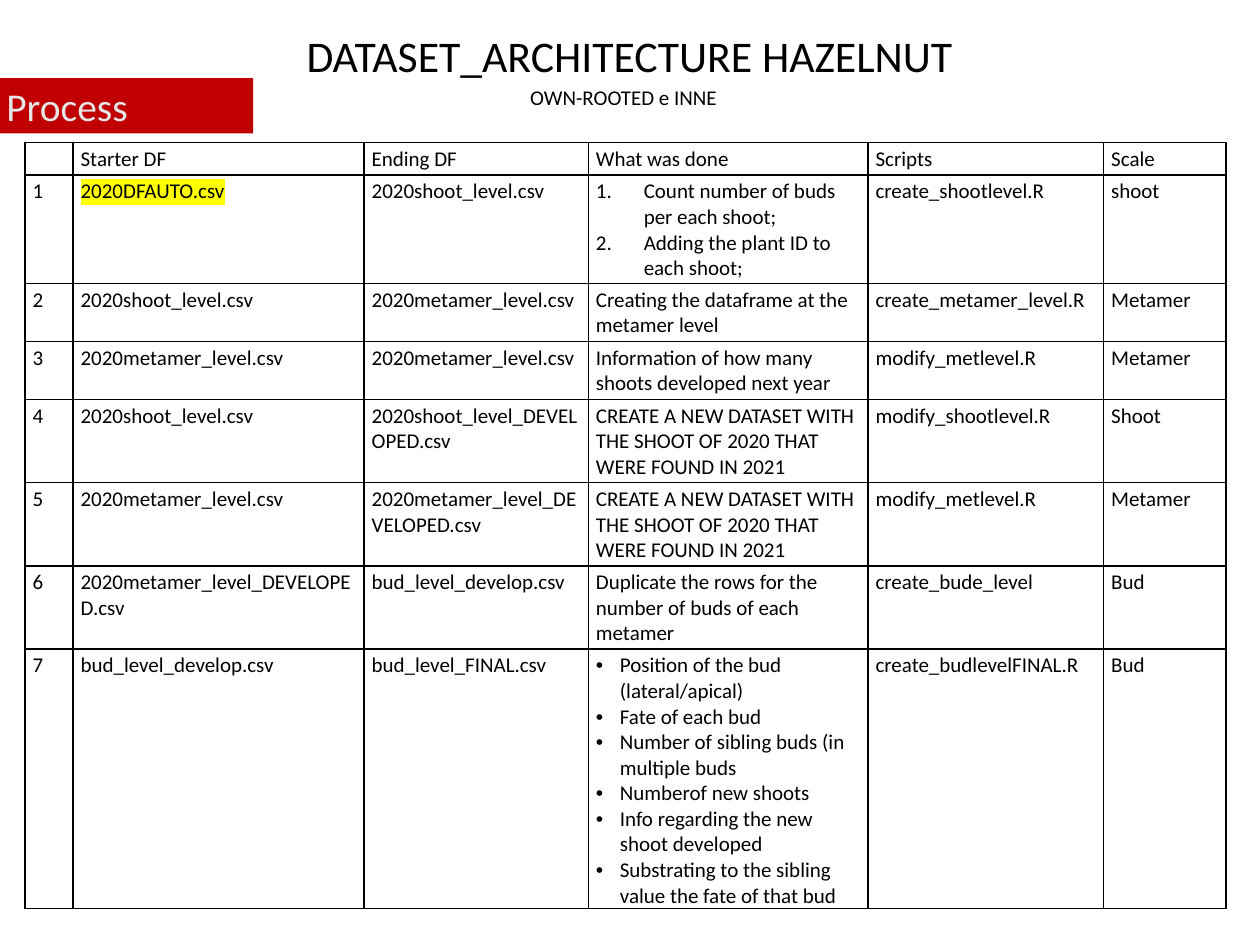
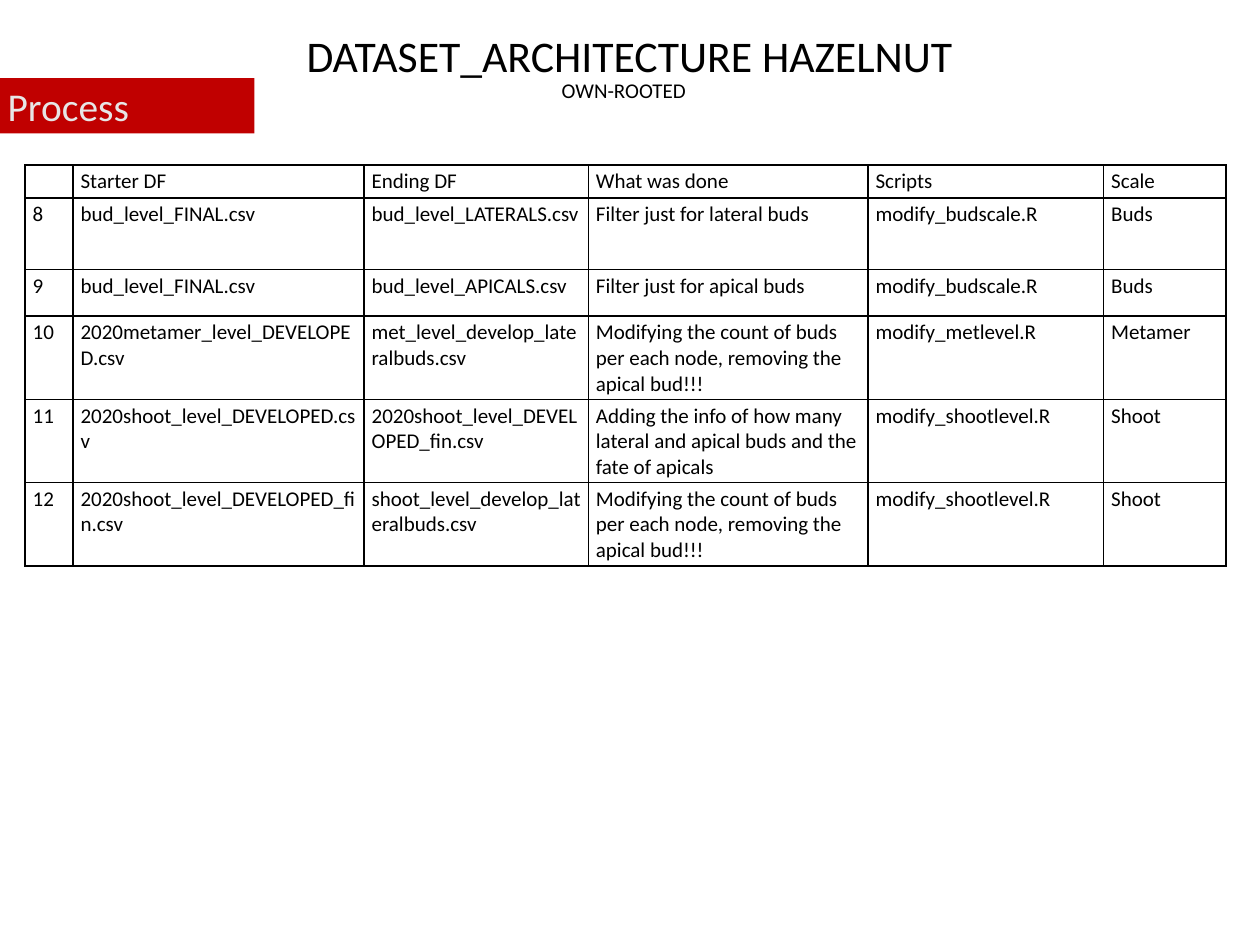
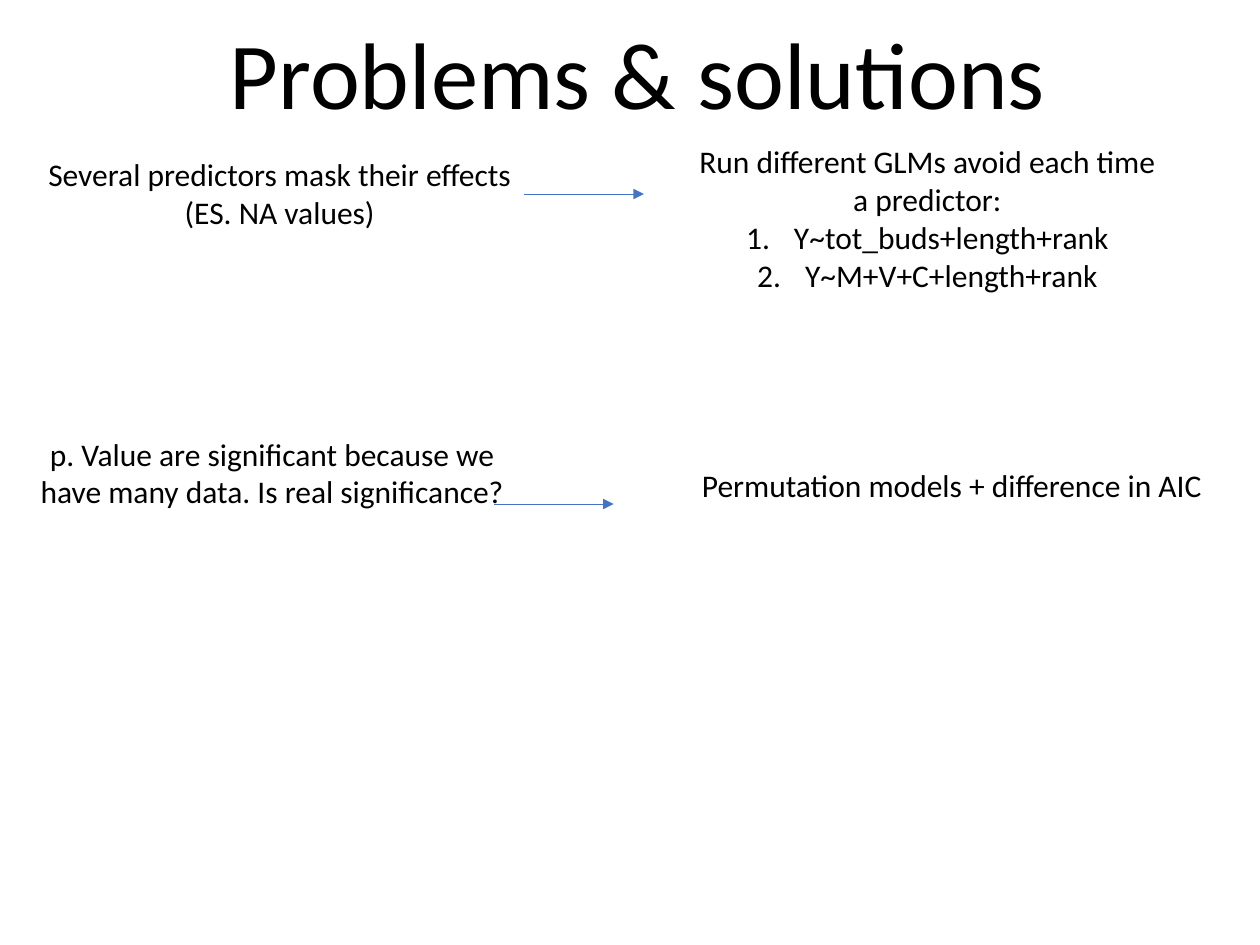
from dataclasses import dataclass
from typing import NamedTuple

from lxml.etree import SubElement
from pptx import Presentation
from pptx.dml.color import RGBColor
from pptx.enum.shapes import MSO_CONNECTOR as Connector, MSO_SHAPE as Shape
from pptx.enum.text import MSO_AUTO_SIZE as AutoSize, MSO_ANCHOR as Anchor, PP_ALIGN as Align
from pptx.oxml.ns import qn
from pptx.slide import Slide
from pptx.text.text import TextFrame
from pptx.util import Inches, Pt

BLACK = RGBColor(0x00, 0x00, 0x00)
RED = RGBColor(0xC0, 0x00, 0x00)
PALE_GREY = RGBColor(0xE7, 0xE6, 0xE6)
BLUE = RGBColor(0x44, 0x72, 0xC4)
YELLOW = RGBColor(0xFF, 0xFF, 0x00)

FONT = "Calibri"
TABLE_SIZE = 12
DEFAULT_INSETS = (0.1, 0.05)
TITLE_INSETS = (0.03, 0.02)
COMPACT_INSETS = (0.06, 0.03)
COLUMN_WIDTHS = (0.38, 2.31, 1.78, 2.22, 1.87, 0.97)
HEADER = ("", "Starter DF", "Ending DF", "What was done", "Scripts", "Scale")
HEADER_HEIGHT = 0.23
ROW_HEIGHT = 0.26
FIRST_ROW_HEIGHTS = (0.57, 0.37)


class Line(NamedTuple):
    """A paragraph with an optional list marker and highlight."""
    text: str
    marker: str = ""
    highlight: RGBColor | None = None


Content = str | tuple[Line, ...]


class Step(NamedTuple):
    """One processing step of the dataset."""
    starter: Content
    ending: Content
    done: Content
    script: Content
    scale: Content


@dataclass(frozen=True)
class ProcessPage:
    """A page that tabulates consecutive processing steps."""
    subtitle: str
    subtitle_left: float
    subtitle_top: float
    subtitle_width: float
    band_left: float
    table_top: float
    first_number: int
    steps: tuple[Step, ...]


@dataclass(frozen=True)
class Note:
    """A centred text on the problems page."""
    left: float
    top: float
    width: float
    height: float
    content: Content


@dataclass(frozen=True)
class Arrow:
    """A horizontal arrow from a problem to its solution."""
    left: float
    top: float
    length: float = 0.95


def listed(marker: str, *texts: str) -> tuple[Line, ...]:
    """Return the texts as list items with the same marker."""
    return tuple(Line(text, marker) for text in texts)


NEW_DATASET = "CREATE A NEW DATASET WITH THE SHOOT OF 2020 THAT WERE FOUND IN 2021"
COUNT_BUDS = "Modifying the count of buds per each node, removing the apical bud!!!"

PROCESS_PAGES = (
    ProcessPage("OWN-ROOTED e INNE", 4.11, 0.62, 1.7, -0.01, 1.13, 1, (
        Step((Line("2020DFAUTO.csv", highlight=YELLOW),), "2020shoot_level.csv",
             listed("1.", "Count number of buds per each shoot;",
                    "Adding the plant ID to each shoot;"),
             "create_shootlevel.R", "shoot"),
        Step("2020shoot_level.csv", "2020metamer_level.csv",
             "Creating the dataframe at the metamer level",
             "create_metamer_level.R", "Metamer"),
        Step("2020metamer_level.csv", "2020metamer_level.csv",
             "Information of how many shoots developed next year",
             "modify_metlevel.R", "Metamer"),
        Step("2020shoot_level.csv", "2020shoot_level_DEVELOPED.csv",
             NEW_DATASET, "modify_shootlevel.R", "Shoot"),
        Step("2020metamer_level.csv", "2020metamer_level_DEVELOPED.csv",
             NEW_DATASET, "modify_metlevel.R", "Metamer"),
        Step("2020metamer_level_DEVELOPED.csv", "bud_level_develop.csv",
             "Duplicate the rows for the number of buds of each metamer",
             "create_bude_level", "Bud"),
        Step("bud_level_develop.csv", "bud_level_FINAL.csv",
             listed("•", "Position of the bud (lateral/apical)",
                    "Fate of each bud",
                    "Number of sibling buds (in multiple buds",
                    "Numberof new shoots",
                    "Info regarding the new shoot developed",
                    "Substrating to the sibling value the fate of that bud"),
             "create_budlevelFINAL.R", "Bud"),
    )),
    ProcessPage("OWN-ROOTED", 4.36, 0.57, 1.2, 0, 1.31, 8, (
        Step("bud_level_FINAL.csv", "bud_level_LATERALS.csv",
             "Filter just for lateral buds", "modify_budscale.R", "Buds"),
        Step("bud_level_FINAL.csv", "bud_level_APICALS.csv",
             "Filter just for apical buds", "modify_budscale.R", "Buds"),
        Step("2020metamer_level_DEVELOPED.csv", "met_level_develop_lateralbuds.csv",
             COUNT_BUDS, "modify_metlevel.R", "Metamer"),
        Step("2020shoot_level_DEVELOPED.csv", "2020shoot_level_DEVELOPED_fin.csv",
             "Adding the info of how many lateral and apical buds and the fate of apicals",
             "modify_shootlevel.R", "Shoot"),
        Step("2020shoot_level_DEVELOPED_fin.csv", "shoot_level_develop_lateralbuds.csv",
             COUNT_BUDS, "modify_shootlevel.R", "Shoot"),
    )),
)

NOTES = (
    Note(0.28, 1.18, 3.88, 0.71, "Several predictors mask their effects (ES. NA values)"),
    Note(5.42, 1.08, 3.88, 1.62,
         (Line("Run different GLMs avoid each time a predictor:"),
          *listed("1.", "Y~tot_buds+length+rank", "Y~M+V+C+length+rank"))),
    Note(0.22, 3.4, 3.88, 1.01,
         "p. Value are significant because we have many data. Is real significance?"),
    Note(5.42, 3.65, 4.27, 0.71, "Permutation models + difference in AIC"),
)
ARROWS = (Arrow(4.16, 1.54), Arrow(3.92, 4))


def add_marker(para, marker: str) -> None:
    """Give a paragraph a hanging number or bullet."""
    numbered = marker == "1."
    indent = Inches(0.38 if numbered else 0.19)
    props = para._p.get_or_add_pPr()
    props.set("marL", str(indent))
    props.set("indent", str(-indent))
    if numbered:
        SubElement(props, qn("a:buFont"), typeface="+mj-lt")
        SubElement(props, qn("a:buAutoNum"), type="arabicPeriod")
    else:
        SubElement(props, qn("a:buFont"), typeface="Arial")
        SubElement(props, qn("a:buChar"), char=marker)


def write(frame: TextFrame, content: Content, *, size: float,
          color: RGBColor = BLACK, align: Align = Align.LEFT) -> None:
    """Fill a text frame with formatted paragraphs."""
    lines = (Line(content),) if isinstance(content, str) else content
    for index, line in enumerate(lines):
        para = frame.add_paragraph() if index else frame.paragraphs[0]
        para.alignment = align
        if line.marker:
            add_marker(para, line.marker)
        if not line.text:
            SubElement(para._p, qn("a:endParaRPr"), sz=str(size * 100))
            continue
        span = para.add_run()
        span.text = line.text
        span.font.size = Pt(size)
        span.font.name = FONT
        span.font.color.rgb = color
        if line.highlight is not None:
            props = span._r.get_or_add_rPr()
            mark = SubElement(props, qn("a:highlight"))
            SubElement(mark, qn("a:srgbClr"), val=str(line.highlight))
            props.find(qn("a:solidFill")).addnext(mark)


def set_insets(area, insets: tuple[float, float]) -> None:
    """Set the side and the top and bottom margins of a cell or frame."""
    side, edge = (Inches(inset) for inset in insets)
    area.margin_left = area.margin_right = side
    area.margin_top = area.margin_bottom = edge


def add_text(page: Slide, content: Content, left: float, top: float, width: float,
             height: float, *, size: float, align: Align = Align.LEFT,
             wrap: bool = False, insets: tuple[float, float] = DEFAULT_INSETS) -> None:
    """Add a text box that grows with its text."""
    box = page.shapes.add_textbox(Inches(left), Inches(top), Inches(width), Inches(height))
    frame = box.text_frame
    frame.word_wrap = wrap
    frame.auto_size = AutoSize.SHAPE_TO_FIT_TEXT
    set_insets(frame, insets)
    write(frame, content, size=size, align=align)


def add_band(page: Slide, left: float) -> None:
    """Add the red section band."""
    band = page.shapes.add_shape(Shape.RECTANGLE, Inches(left), Inches(0.62),
                                 Inches(2.02), Inches(0.44))
    band.shadow.inherit = False
    band.fill.solid()
    band.fill.fore_color.rgb = RED
    band.line.fill.background()
    frame = band.text_frame
    frame.word_wrap = True
    frame.auto_size = AutoSize.SHAPE_TO_FIT_TEXT
    frame.vertical_anchor = Anchor.TOP
    set_insets(frame, COMPACT_INSETS)
    write(frame, "Process", size=22.5, color=PALE_GREY)


def add_borders(cell) -> None:
    """Draw thin black borders around a table cell."""
    props = cell._tc.get_or_add_tcPr()
    for side in ("lnL", "lnR", "lnT", "lnB"):
        border = SubElement(props, qn(f"a:{side}"), w=str(Pt(1)))
        fill = SubElement(border, qn("a:solidFill"))
        SubElement(fill, qn("a:srgbClr"), val=str(BLACK))


def add_step_table(page: Slide, top: float, first_number: int,
                   steps: tuple[Step, ...]) -> None:
    """Add the table of numbered steps below its header row."""
    rows = [HEADER] + [(str(number), *step) for number, step in enumerate(steps, first_number)]
    plain_rows = len(steps) - len(FIRST_ROW_HEIGHTS)
    heights = (HEADER_HEIGHT, *FIRST_ROW_HEIGHTS, *[ROW_HEIGHT] * plain_rows)
    table = page.shapes.add_table(len(rows), len(HEADER), Inches(0.2), Inches(top),
                                  Inches(sum(COLUMN_WIDTHS)), Inches(sum(heights))).table
    table.first_row = table.horz_banding = False
    for column, width in zip(table.columns, COLUMN_WIDTHS):
        column.width = Inches(width)
    for row, height, contents in zip(table.rows, heights, rows):
        row.height = Inches(height)
        for cell, content in zip(row.cells, contents):
            set_insets(cell, COMPACT_INSETS)
            add_borders(cell)
            cell.fill.background()
            write(cell.text_frame, content, size=TABLE_SIZE)


def add_arrow(page: Slide, arrow: Arrow) -> None:
    """Add a thin blue arrow pointing right."""
    top = Inches(arrow.top)
    line = page.shapes.add_connector(Connector.STRAIGHT, Inches(arrow.left), top,
                                     Inches(arrow.left + arrow.length), top)
    line.line.color.rgb = BLUE
    line.line.width = Pt(0.5)
    props = line._element.spPr
    SubElement(props.find(qn("a:ln")), qn("a:tailEnd"), type="triangle")
    SubElement(props, qn("a:effectLst"))


def build_process_page(page: Slide, content: ProcessPage) -> None:
    """Build a page with title, band, subtitle and step table."""
    add_text(page, "DATASET_ARCHITECTURE HAZELNUT", 2.37, 0.21, 5.25, 0.45,
             size=25, align=Align.CENTER, insets=TITLE_INSETS)
    add_band(page, content.band_left)
    add_text(page, content.subtitle, content.subtitle_left, content.subtitle_top,
             content.subtitle_width, 0.3, size=12)
    add_step_table(page, content.table_top, content.first_number, content.steps)


def build_problems_page(page: Slide) -> None:
    """Build the page that pairs problems with solutions."""
    add_text(page, "Problems & solutions", 1.69, 0.07, 6.74, 1.01,
             size=54, align=Align.CENTER)
    for note in NOTES:
        add_text(page, note.content, note.left, note.top, note.width, note.height,
                 size=18, align=Align.CENTER, wrap=True)
    for arrow in ARROWS:
        add_arrow(page, arrow)


def main() -> None:
    """Build and save the deck."""
    deck = Presentation()
    deck.slide_width = Inches(10)
    deck.slide_height = Inches(7.5)
    blank = deck.slide_layouts[6]
    for content in PROCESS_PAGES:
        build_process_page(deck.slides.add_slide(blank), content)
    build_problems_page(deck.slides.add_slide(blank))
    deck.save("out.pptx")


if __name__ == "__main__":
    main()
